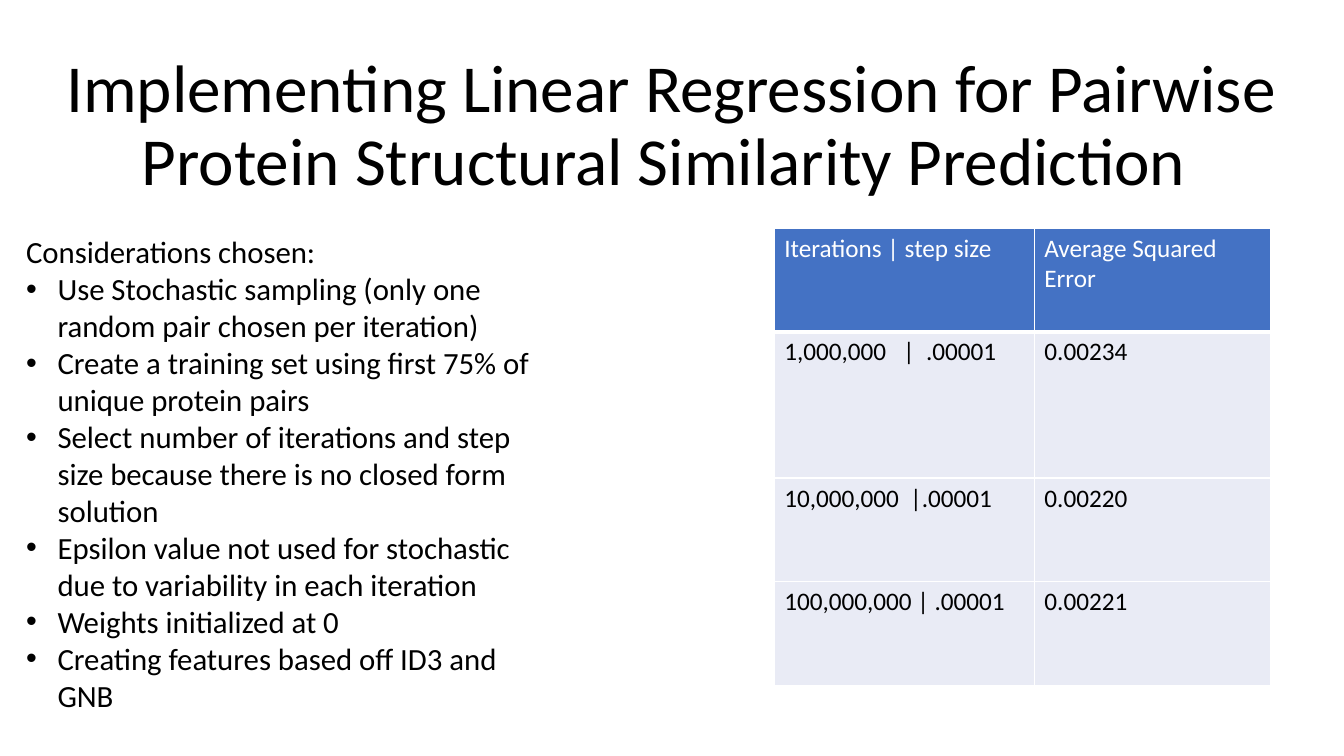
from typing import NamedTuple

import lxml.etree
import pptx
import pptx.dml.color
import pptx.enum.text
import pptx.oxml.ns
import pptx.util

Pt = pptx.util.Pt
qn = pptx.oxml.ns.qn
FONT = "Calibri"
BLACK, WHITE, HEADER, BODY = "000000", "FFFFFF", "4472C4", "E9EBF5"
INDENT = 22.5


class ResultRow(NamedTuple):
    settings: str
    error: str
    height: float
    fill: str = BODY
    color: str = BLACK
    top: float = 1
    bottom: float = 1


RESULTS = [
    ResultRow("Iterations | step size", "Average Squared Error", 74, HEADER, WHITE, bottom=3),
    ResultRow("1,000,000   |  .00001", "0.00234", 104.5, top=3),
    ResultRow("10,000,000  |.00001", "0.00220", 74),
    ResultRow("100,000,000 | .00001", "0.00221", 74),
]
COLUMN_WIDTHS = [185.8, 169]
CONSIDERATIONS = [
    "Use Stochastic sampling (only one random pair chosen per iteration)",
    "Create a training set using first 75% of unique protein pairs",
    "Select number of iterations and step size because there is no closed form solution",
    "Epsilon value not used for stochastic due to variability in each iteration",
    "Weights initialized at 0",
    "Creating features based off ID3 and GNB",
]


def rgb(color: str) -> pptx.dml.color.RGBColor:
    return pptx.dml.color.RGBColor.from_string(color)


def write(p, text: str, *, size: float, color: str = BLACK, align=None,
          spacing: float | None = None, bullet: bool = False) -> None:
    r = p.add_run()
    r.text = text
    r.font.name = FONT
    r.font.size = Pt(size)
    r.font.bold = False
    r.font.color.rgb = rgb(color)
    p.alignment = align
    p.line_spacing = spacing
    if bullet:
        pPr = p._p.get_or_add_pPr()
        pPr.set("marL", str(Pt(INDENT)))
        pPr.set("indent", str(-Pt(INDENT)))
        lxml.etree.SubElement(pPr, qn("a:buFont"), typeface="Arial")
        lxml.etree.SubElement(pPr, qn("a:buChar"), char="•")


def add_text_frame(s, left: float, top: float, width: float, height: float):
    tf = s.shapes.add_textbox(Pt(left), Pt(top), Pt(width), Pt(height)).text_frame
    tf.word_wrap = True
    return tf


def set_borders(cell, top: float, bottom: float) -> None:
    tcPr = cell._tc.get_or_add_tcPr()
    widths = {"lnL": 1, "lnR": 1, "lnT": top, "lnB": bottom}
    for i, (side, width) in enumerate(widths.items()):
        ln = lxml.etree.Element(qn(f"a:{side}"), w=str(Pt(width)))
        fill = lxml.etree.SubElement(ln, qn("a:solidFill"))
        lxml.etree.SubElement(fill, qn("a:srgbClr"), val=WHITE)
        tcPr.insert(i, ln)


def add_results(s, left: float, top: float) -> None:
    height = sum(row.height for row in RESULTS)
    table = s.shapes.add_table(len(RESULTS), len(COLUMN_WIDTHS), Pt(left), Pt(top),
                               Pt(sum(COLUMN_WIDTHS)), Pt(height)).table
    table.horz_banding = False
    for column, width in zip(table.columns, COLUMN_WIDTHS):
        column.width = Pt(width)
    for i, row in enumerate(RESULTS):
        table.rows[i].height = Pt(row.height)
        for j, text in enumerate((row.settings, row.error)):
            cell = table.cell(i, j)
            cell.fill.solid()
            cell.fill.fore_color.rgb = rgb(row.fill)
            set_borders(cell, row.top, row.bottom)
            write(cell.text_frame.paragraphs[0], text, size=18, color=row.color)


prs = pptx.Presentation()
prs.slide_width, prs.slide_height = Pt(960), Pt(540)
s = prs.slides.add_slide(prs.slide_layouts[6])
s.background.fill.solid()
s.background.fill.fore_color.rgb = rgb(WHITE)

tf = add_text_frame(s, 28, 28.8, 903.6, 117.4)
tf.vertical_anchor = pptx.enum.text.MSO_ANCHOR.BOTTOM
write(tf.paragraphs[0],
      "Implementing Linear Regression for Pairwise Protein Structural Similarity Prediction ",
      size=48, align=pptx.enum.text.PP_ALIGN.CENTER, spacing=0.9)

add_results(s, 553, 163)

tf = add_text_frame(s, 11.5, 163, 394.5, 353.5)
tf.auto_size = pptx.enum.text.MSO_AUTO_SIZE.SHAPE_TO_FIT_TEXT
write(tf.paragraphs[0], "Considerations chosen:", size=22)
for text in CONSIDERATIONS:
    write(tf.add_paragraph(), text, size=22, bullet=True)

prs.save("out.pptx")
